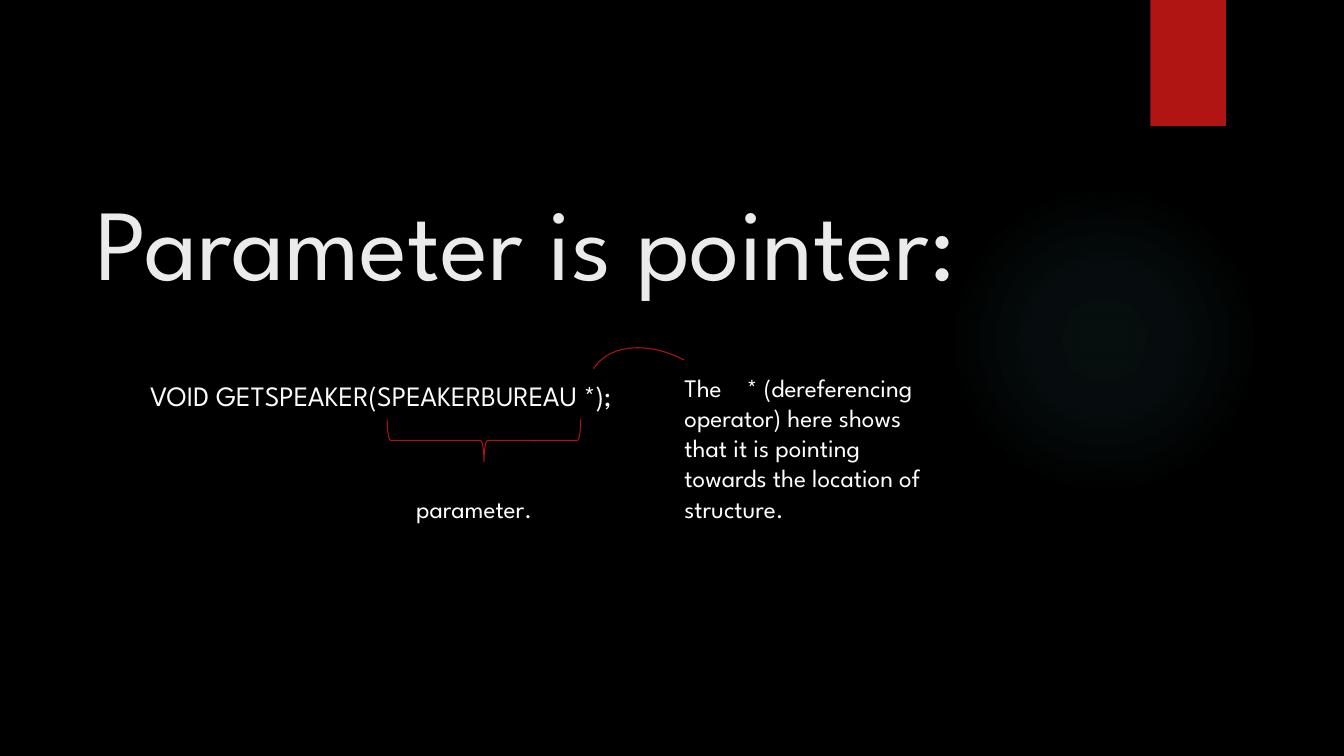
"""Build the slide explaining a pointer parameter."""
import pptx
import pptx.dml.color
import pptx.enum.shapes
import pptx.enum.text
import pptx.oxml
import pptx.oxml.ns
import pptx.util

Inches = pptx.util.Inches
Pt = pptx.util.Pt
RGB = pptx.dml.color.RGBColor
SHAPE = pptx.enum.shapes.MSO_SHAPE
ANCHOR = pptx.enum.text.MSO_ANCHOR

BLACK = RGB(0x00, 0x00, 0x00)
RED = RGB(0xB0, 0x15, 0x13)
TITLE_GREY = RGB(0xEB, 0xEB, 0xEB)
CODE_WHITE = RGB(0xFB, 0xFB, 0xFB)
WHITE = RGB(0xFF, 0xFF, 0xFF)
GLOW = RGB(0x50, 0xB9, 0xC1)
FONT = "League Spartan"

TEXTS = [
    ("Parameter is pointer:", (0.85, 1.74, 9.65, 1.29), 72, TITLE_GREY, ANCHOR.BOTTOM),
    ("VOID GETSPEAKER(SPEAKERBUREAU *);", (1.39, 3.71, 9.65, 1.57), 20, CODE_WHITE, ANCHOR.TOP),
    ("parameter.", (4.03, 4.84, 4.34, 0.4), 18, WHITE, ANCHOR.TOP),
    ("The\t* (dereferencing operator) here shows that it is pointing "
     "towards the location of structure.", (6.69, 3.64, 2.59, 2.22), 18, WHITE, ANCHOR.TOP),
]
STAR_TAB = 0.62
GLOW_BOX = (9.41, 1.83, 3.08, 3.08)
GLOW_STOPS = [(0, 7), (36, 6), (69, 0)]
RIBBON_BOX = (11.41, 0, 0.75, 1.25)
MARKS = [
    (SHAPE.RIGHT_BRACE, (4.59, 3.41, 0.42, 1.92), 90, []),
    (SHAPE.ARC, (6.02, 3.28, 1.08, 1.57), 301.2, [162, 212.07]),
]


def add_shape(s, kind, box):
    sp = s.shapes.add_shape(kind, *map(Inches, box))
    sp.shadow.inherit = False
    return sp


def add_glow(s):
    sp = add_shape(s, SHAPE.OVAL, GLOW_BOX)
    sp.line.fill.background()
    sp.fill.gradient()
    stops = "".join(
        f'<a:gs pos="{pos * 1000}"><a:srgbClr val="{GLOW}">'
        f'<a:alpha val="{alpha * 1000}"/></a:srgbClr></a:gs>'
        for pos, alpha in GLOW_STOPS)
    grad = pptx.oxml.parse_xml(
        f'<a:gradFill {pptx.oxml.ns.nsdecls("a")} rotWithShape="1"><a:gsLst>{stops}</a:gsLst>'
        '<a:path path="circle"><a:fillToRect l="50000" t="50000" r="50000" b="50000"/>'
        '</a:path></a:gradFill>')
    spPr = sp._element.spPr
    spPr.replace(spPr.find(pptx.oxml.ns.qn("a:gradFill")), grad)


def add_ribbon(s):
    sp = add_shape(s, SHAPE.RECTANGLE, RIBBON_BOX)
    sp.fill.solid()
    sp.fill.fore_color.rgb = RED
    sp.line.fill.background()


def add_mark(s, kind, box, rotation, adjustments):
    sp = add_shape(s, kind, box)
    sp.rotation = rotation
    for i, value in enumerate(adjustments):
        sp.adjustments[i] = value
    sp.fill.background()
    sp.line.color.rgb = RED
    sp.line.width = Pt(0.75)


def add_text(s, text, box, size, color, anchor):
    tf = s.shapes.add_textbox(*map(Inches, box)).text_frame
    tf.word_wrap = True
    tf.vertical_anchor = anchor
    p = tf.paragraphs[0]
    r = p.add_run()
    r.text = text
    for name, value in {"name": FONT, "size": Pt(size)}.items():
        setattr(r.font, name, value)
    r.font.color.rgb = color
    if "\t" in text:
        p._p.get_or_add_pPr().append(pptx.oxml.parse_xml(
            f'<a:tabLst {pptx.oxml.ns.nsdecls("a")}>'
            f'<a:tab pos="{Inches(STAR_TAB)}" algn="l"/></a:tabLst>'))


def main():
    prs = pptx.Presentation()
    prs.slide_width, prs.slide_height = Inches(13.33), Inches(7.5)
    s = prs.slides.add_slide(prs.slide_layouts[6])
    s.background.fill.solid()
    s.background.fill.fore_color.rgb = BLACK
    add_glow(s)
    add_ribbon(s)
    for text in TEXTS:
        add_text(s, *text)
    for mark in MARKS:
        add_mark(s, *mark)
    prs.save("out.pptx")


if __name__ == "__main__":
    main()
